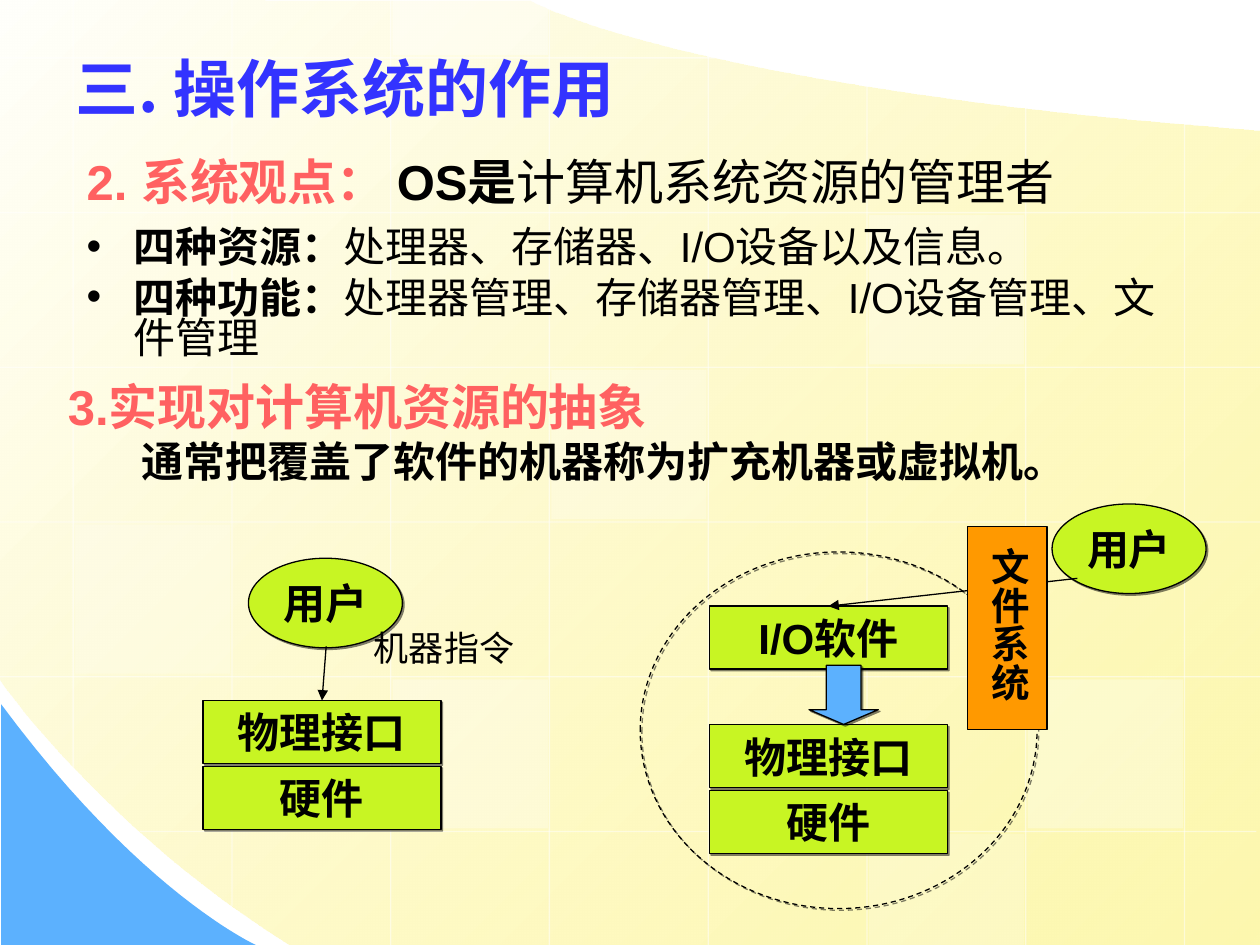
from dataclasses import dataclass
from lxml.etree import SubElement
from pptx import Presentation
from pptx.dml.color import RGBColor
from pptx.enum.dml import MSO_LINE
from pptx.enum.shapes import MSO_CONNECTOR, MSO_SHAPE
from pptx.enum.text import MSO_ANCHOR, PP_ALIGN
from pptx.oxml.ns import qn
from pptx.util import Pt


@dataclass(frozen=True)
class Theme:
    ink: str = "000000"
    white: str = "FFFFFF"
    cream: str = "FFFFFB"
    yellow: str = "FDF58D"
    sky: str = "5CB1FE"
    blue: str = "3333FF"
    coral: str = "FF6161"
    lime: str = "C8F523"
    orange: str = "FF9900"
    latin: str = "Arial"
    asian: str = "Noto Sans CJK SC"
    title: int = 36
    head: int = 28
    body: int = 24
    side: int = 22
    note: int = 20
    rule: float = 0.75


T = Theme()


def rgb(code):
    return RGBColor.from_string(code)


def fade(fill, share):
    for tint in fill.iter(qn("a:srgbClr")):
        SubElement(tint, qn("a:alpha"), val=str(share * 1000))


def shade(props):
    effects = SubElement(props, qn("a:effectLst"))
    cast = SubElement(effects, qn("a:outerShdw"), blurRad="0", dist=str(Pt(1.4)),
                      dir="2700000", algn="ctr", rotWithShape="0")
    tint = SubElement(cast, qn("a:srgbClr"), val=T.ink)
    SubElement(tint, qn("a:alpha"), val="50000")


def write(frame, parts, size=T.body, color=T.ink, bold=True, font=T.latin, align=PP_ALIGN.LEFT,
          left=0, indent=0, before=0, spacing=None, bullet=False, shadow=False, new=False):
    par = frame.add_paragraph() if new else frame.paragraphs[0]
    par.alignment = align
    par.space_before = Pt(before)
    if spacing:
        par.line_spacing = spacing
    props = par._p.get_or_add_pPr()
    props.set("marL", str(Pt(left)))
    props.set("indent", str(Pt(indent)))
    if bullet:
        SubElement(props, qn("a:buFont"), typeface=T.latin)
        SubElement(props, qn("a:buChar"), char="•")
    else:
        SubElement(props, qn("a:buNone"))
    for words, look in parts:
        run = par.add_run()
        run.text = words
        run.font.size = Pt(size)
        run.font.bold = look.get("bold", bold)
        run.font.color.rgb = rgb(look.get("color", color))
        if shadow:
            shade(run._r.get_or_add_rPr())
        run.font.name = font
        SubElement(run._r.get_or_add_rPr(), qn("a:ea"), typeface=T.asian)


def panel(slide, box, wrap=True, anchor=MSO_ANCHOR.TOP):
    frame = slide.shapes.add_textbox(*map(Pt, box)).text_frame
    frame.word_wrap = wrap
    frame.vertical_anchor = anchor
    return frame


def block(slide, kind, box, fill=None, line=T.ink, shadow=True, alpha=None, label=None):
    shape = slide.shapes.add_shape(kind, *map(Pt, box))
    shape.shadow.inherit = False
    if fill:
        shape.fill.solid()
        shape.fill.fore_color.rgb = rgb(fill)
    else:
        shape.fill.background()
    if alpha:
        fade(shape._element.spPr.find(qn("a:solidFill")), alpha)
    if line:
        shape.line.color.rgb = rgb(line)
        shape.line.width = Pt(T.rule)
    else:
        shape.line.fill.background()
    if shadow:
        props = shape._element.spPr
        props.remove(props.find(qn("a:effectLst")))
        shade(props)
    if label:
        shape.text_frame.word_wrap = kind == MSO_SHAPE.RECTANGLE
        shape.text_frame.vertical_anchor = MSO_ANCHOR.MIDDLE
        write(shape.text_frame, [(label, {})], align=PP_ALIGN.CENTER)
    return shape


def link(slide, start, end, color=T.ink, alpha=None, arrow=False):
    line = slide.shapes.add_connector(MSO_CONNECTOR.STRAIGHT, *map(Pt, start + end))
    line.line.color.rgb = rgb(color)
    line.line.width = Pt(T.rule)
    props = line._element.spPr
    if alpha:
        fade(props.find(qn("a:ln")), alpha)
    if arrow:
        SubElement(props.find(qn("a:ln")), qn("a:tailEnd"), type="triangle")
    SubElement(props, qn("a:effectLst"))
    return line


def curve(a, b, c, d, steps=24):
    for k in range(1, steps + 1):
        t = k / steps
        u = 1 - t
        yield tuple(u**3 * p + 3 * u * u * t * q + 3 * u * t * t * r + t**3 * s
                    for p, q, r, s in zip(a, b, c, d))


def outline(slide, points):
    first, *rest = [(Pt(x), Pt(y)) for x, y in points]
    draft = slide.shapes.build_freeform(*first, scale=1.0)
    draft.add_line_segments(rest, close=True)
    shape = draft.convert_to_shape()
    shape.shadow.inherit = False
    shape.line.fill.background()
    return shape


def backdrop(slide, box):
    x, y, wide, high = box
    right, base = x + wide, y + high
    edge = (right, y + 74.9)
    foot, rim, peak = (x + 165.6, base), (x, y + 388.1), (x + 303.1, y + 0.7)
    field = outline(slide, [edge, (right, base), foot,
                            *curve(foot, (x + 61.9, y + 475.9), (x - 0.7, y + 388.1), rim),
                            (x, y), peak,
                            *curve(peak, peak, (x + 386.6, y + 49.7), edge)])
    field.fill.gradient()
    field.fill.gradient_angle = 315
    for stop, color, place in zip(field.fill.gradient_stops, (T.cream, T.yellow), (0, 1)):
        stop.color.rgb = rgb(color)
        stop.position = place
    stops = field._element.spPr.find(qn("a:gradFill")).find(qn("a:gsLst"))
    fade(stops[1], 70)
    tip, top = (x + 146.2, base), (x + 0.7, y + 402.5)
    corner = outline(slide, [top, (x + 0.7, base), tip,
                             *curve(tip, tip, (x + 80.6, y + 510.5), top)])
    corner.fill.solid()
    corner.fill.fore_color.rgb = rgb(T.sky)

    cols = [x + 41.8 + 90.72 * k for k in range(8)]
    rows = [y + 33.1 + 88.4 * k for k in range(-1, 7)]
    spans = [(0, 438.5), (0, 517.7), (0, 540), (0, 540), (31, 540), (49, 540), (61.2, 540), (70.6, 540)]
    for col, (start, end) in zip(cols, spans):
        link(slide, (col, y + start), (col, y + end), T.white, 50)
    reach = [(409, 0)] + [(720, 0)] * 4 + [(718, 80)]
    for row, (start, end) in zip(rows[1:], reach):
        link(slide, (x + start, row), (x + end, row), T.white, 50)
    for col, row, alpha in [(3, 3, 25), (6, 5, 30), (0, 4, 20), (5, 6, 20),
                            (2, 0, 40), (2, 5, 30), (5, 2, 30)]:
        top, low = max(y, rows[row] + 1.5), min(base, rows[row] + 86.7)
        block(slide, MSO_SHAPE.RECTANGLE, (cols[col] + 1.2, top, 88.6, low - top),
              T.white, line=None, shadow=False, alpha=alpha)


def outlook(slide, box):
    x, y, wide, high = box
    write(panel(slide, (x, y, wide, 45.4)),
          [("2. 系统观点：", {"color": T.coral}), (" OS是", {}), ("计算机系统资源的管理者", {"bold": False})],
          size=T.head, left=27, indent=-27, before=7)
    points = panel(slide, (x, y + 45.4, wide, high - 45.4))
    rows = [("四种资源：", "处理器、存储器、I/O设备以及信息。"),
            ("四种功能：", "处理器管理、存储器管理、I/O设备管理、文件管理")]
    for k, (name, items) in enumerate(rows):
        write(points, [(name, {}), (items, {"bold": False})], left=27, indent=-27,
              before=6, spacing=0.8, bullet=True, new=k > 0)


def concept(slide, box):
    frame = panel(slide, box)
    frame.margin_right = Pt(20)
    write(frame, [("3.实现对计算机资源的抽象", {})], size=T.head, color=T.coral,
          left=27, indent=-27, before=7, spacing=0.8, shadow=True)
    write(frame, [("通常把覆盖了软件的机器称为扩充机器或虚拟机。", {})],
          left=27, indent=15, before=6, spacing=0.8, shadow=True, new=True)


def stack(slide, x, y):
    return [block(slide, MSO_SHAPE.RECTANGLE, (x, y + 37.6 * k, 136, 36), T.lime, label=name)
            for k, name in enumerate(("物理接口", "硬件"))]


def user(slide, x, y):
    block(slide, MSO_SHAPE.OVAL, (x, y, 88, 51.2), T.lime, label="用户")


def bare(slide, box):
    x, y = box[:2]
    user(slide, x + 26, y)
    port = stack(slide, x, y + 81.3)[0]
    link(slide, (x + 70.4, y + 50.4), (x + 68, y + 81.3), arrow=True).end_connect(port, 0)
    write(panel(slide, (x + 90.6, y + 35.2, 94.3, 31.7), False, MSO_ANCHOR.MIDDLE),
          [("机器指令", {})], size=T.note, bold=False, align=PP_ALIGN.CENTER, shadow=True)


def layered(slide, box):
    x, y = box[:2]
    stack(slide, x + 39.6, y + 126.2)
    soft = block(slide, MSO_SHAPE.RECTANGLE, (x + 39.6, y + 58.4, 136, 36), T.lime, label="I/O软件")
    user(slide, x + 235.4, y)
    ring = block(slide, MSO_SHAPE.OVAL, (x, y + 27.4, 226.8, 203.8))
    ring.line.dash_style = MSO_LINE.DASH
    arrow = block(slide, MSO_SHAPE.DOWN_ARROW, (x + 96.5, y + 92.2, 39.6, 33.8), T.sky)
    arrow.adjustments[0], arrow.adjustments[1] = 0.5, 0.25
    link(slide, (x + 249.8, y + 42.5), (x + 107.6, y + 58.4), arrow=True).end_connect(soft, 0)
    block(slide, MSO_SHAPE.RECTANGLE, (x + 187.2, y + 13, 45.4, 116), T.orange, shadow=False)
    frame = panel(slide, (x + 187.2, y - 18, 44.6, 170))
    frame.margin_left = frame.margin_right = Pt(3.6)
    frame.margin_top = frame.margin_bottom = Pt(7.2)
    frame._txBody.bodyPr.set("vert", "eaVert")
    write(frame, [("文件系统", {})], size=T.side, left=58.3, indent=-22.3, before=13.8, spacing=1.15)


def main():
    deck = Presentation()
    deck.slide_width, deck.slide_height = Pt(720), Pt(540)
    slide = deck.slides.add_slide(deck.slide_layouts[6])
    backdrop(slide, (0, 0, 720, 540))
    write(panel(slide, (36, 31.7, 648, 36), anchor=MSO_ANCHOR.MIDDLE),
          [("三. 操作系统的作用", {})], size=T.title, color=T.blue, font=T.asian)
    outlook(slide, (42.5, 82.8, 640.8, 136))
    concept(slide, (31.7, 218.2, 584, 63.4))
    bare(slide, (116, 319, 185, 155))
    layered(slide, (365.8, 288, 324, 231.2))
    deck.save("out.pptx")


if __name__ == "__main__":
    main()
